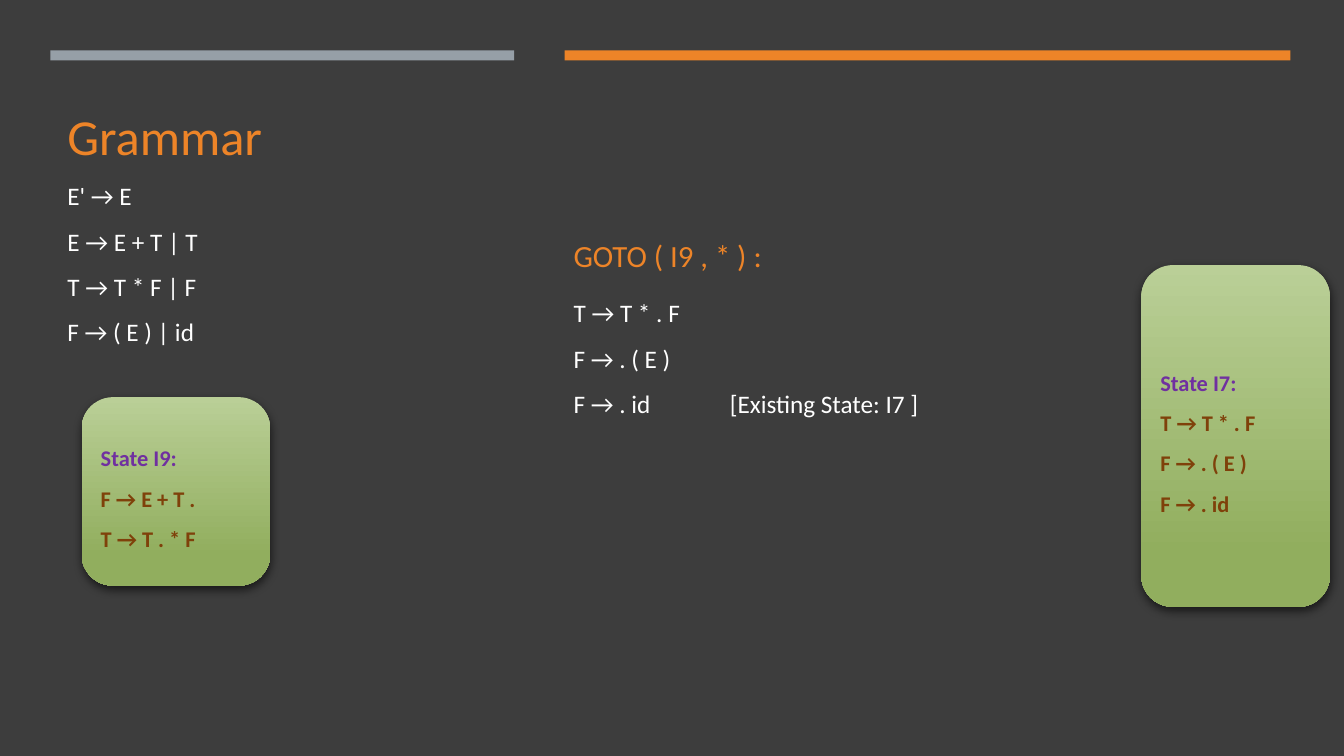
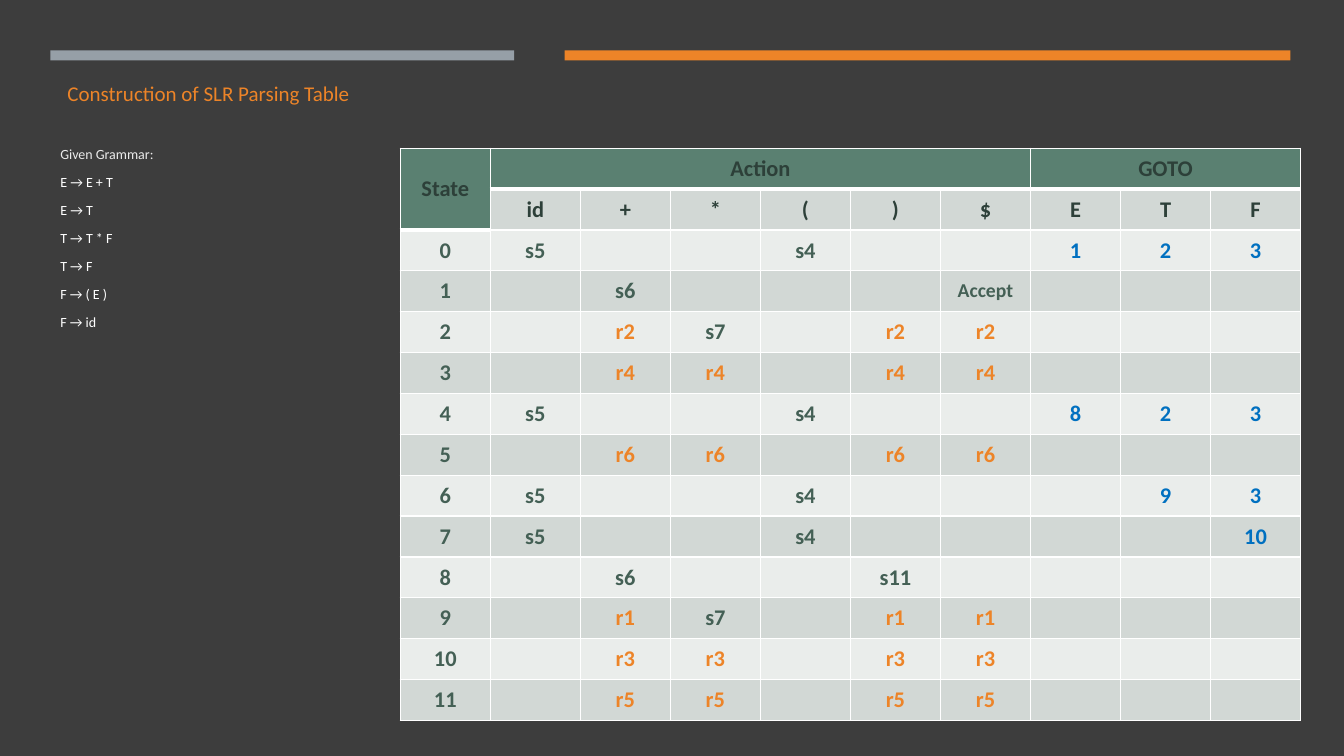
from lxml import etree
from pptx import Presentation
from pptx.dml.color import RGBColor
from pptx.enum.shapes import MSO_SHAPE
from pptx.enum.text import MSO_ANCHOR, PP_ALIGN
from pptx.oxml.ns import qn
from pptx.util import Inches, Pt

RECT = MSO_SHAPE.RECTANGLE
ROUND_RECT = MSO_SHAPE.ROUNDED_RECTANGLE
MIDDLE = MSO_ANCHOR.MIDDLE
LEFT = PP_ALIGN.LEFT
CENTER = PP_ALIGN.CENTER

FONT = "Calibri"
DARK = "3D3D3D"
WHITE = "FFFFFF"
OFF_WHITE = "EBEBEB"
ORANGE = "ED8428"
GRAY = "969FA7"
PURPLE = "7030A0"
BROWN = "7F410A"
BLUE = "0070C0"
GREEN = "446055"
DARK_GREEN = "2D4039"
HEAD_FILL = "5A8071"
BANDS = ("EAEDEB", "D2D8D5")
CARD_STOPS = ((0, "BACF97"), (0.84, "91AE5E"))

SYMBOLS = ["id", "+", "*", "(", ")", "$", "E", "T", "F"]
GOTO_COL = 7
PARSING_ROWS = [
    "s5 - - s4 - - 1 2 3",
    "- s6 - - - Accept - - -",
    "- r2 s7 - r2 r2 - - -",
    "- r4 r4 - r4 r4 - - -",
    "s5 - - s4 - - 8 2 3",
    "- r6 r6 - r6 r6 - - -",
    "s5 - - s4 - - - 9 3",
    "s5 - - s4 - - - - 10",
    "- s6 - - s11 - - - -",
    "- r1 s7 - r1 r1 - - -",
    "- r3 r3 - r3 r3 - - -",
    "- r5 r5 - r5 r5 - - -",
]


def rgb(value):
    return RGBColor.from_string(value)


def write(tf, text, size=18, color=WHITE, bold=False, align=LEFT,
          spacing=None, before=0, after=0, tab=None):
    p = tf.paragraphs[0]
    if p.runs:
        p = tf.add_paragraph()
        p.space_before = Pt(before)
    p.alignment = align
    p.space_after = Pt(after)
    if spacing:
        p.line_spacing = spacing
    if tab:
        tabs = etree.SubElement(p._p.get_or_add_pPr(), qn("a:tabLst"))
        etree.SubElement(tabs, qn("a:tab"), pos=str(Inches(tab)), algn="l")
    r = p.add_run()
    r.text = text
    r.font.name = FONT
    r.font.size = Pt(size)
    r.font.bold = bold
    r.font.color.rgb = rgb(color)


def border(cell, widths):
    tcPr = cell._tc.get_or_add_tcPr()
    for i, (tag, width) in enumerate(widths.items()):
        ln = etree.Element(qn(tag), w=str(Pt(width)))
        fill = etree.SubElement(ln, qn("a:solidFill"))
        etree.SubElement(fill, qn("a:srgbClr"), val=WHITE)
        tcPr.insert(i, ln)


def is_head(row, col):
    return row == 0 or (row, col) == (1, 0)


class Deck:
    def __init__(self):
        self.prs = Presentation()
        self.prs.slide_width = Inches(13.33)
        self.prs.slide_height = Inches(7.5)
        self.s = None

    def slide(self):
        self.s = self.prs.slides.add_slide(self.prs.slide_layouts[6])
        fill = self.s.background.fill
        fill.solid()
        fill.fore_color.rgb = rgb(DARK)
        self.band(0.5, 4.6, GRAY)
        self.band(5.6, 7.2, ORANGE)

    def shape(self, kind, x, y, w, h):
        sp = self.s.shapes.add_shape(kind, Inches(x), Inches(y), Inches(w), Inches(h))
        sp.shadow.inherit = False
        sp.line.fill.background()
        return sp

    def band(self, x, w, color):
        sp = self.shape(RECT, x, 0.5, w, 0.1)
        sp.fill.solid()
        sp.fill.fore_color.rgb = rgb(color)

    def text(self, x, y, w, h):
        sp = self.s.shapes.add_textbox(Inches(x), Inches(y), Inches(w), Inches(h))
        tf = sp.text_frame
        tf.word_wrap = True
        tf.vertical_anchor = MIDDLE
        return tf

    def title(self, text, y, w, h, size, spacing=None):
        tf = self.text(0.57, y, w, h)
        write(tf, text, size=size, color=ORANGE, spacing=spacing)
        return tf

    def state_card(self, name, items, x, y, h):
        sp = self.shape(ROUND_RECT, x, y, 1.87, h)
        sp.fill.gradient()
        sp.fill.gradient_angle = 270
        for stop, (position, color) in zip(sp.fill.gradient_stops, CARD_STOPS):
            stop.position = position
            stop.color.rgb = rgb(color)
        effects = sp._element.spPr.find(qn("a:effectLst"))
        shadow = etree.SubElement(effects, qn("a:outerShdw"), blurRad=str(Pt(7)),
                                  dist=str(Pt(3)), dir=str(84 * 60000), rotWithShape="0")
        color = etree.SubElement(shadow, qn("a:srgbClr"), val="000000")
        etree.SubElement(color, qn("a:alpha"), val="60000")
        tf = sp.text_frame
        tf.word_wrap = True
        tf.vertical_anchor = MIDDLE
        write(tf, name, size=16, color=PURPLE, bold=True, spacing=1.5)
        for item in items:
            write(tf, item, size=16, color=BROWN, bold=True, spacing=1.5)

    def cell(self, table, row, col, text):
        cell = table.cell(row, col)
        head = is_head(row, col)
        cell.fill.solid()
        cell.fill.fore_color.rgb = rgb(HEAD_FILL if head else BANDS[row % 2])
        border(cell, {"a:lnL": 1, "a:lnR": 1,
                      "a:lnT": 3 if is_head(row - 1, col) else 1,
                      "a:lnB": 3 if head else 1})
        cell.vertical_anchor = MIDDLE
        cell.margin_top = cell.margin_bottom = Inches(0.05)
        if not text:
            return
        color = GREEN
        if row < 2:
            color = DARK_GREEN
        elif col >= GOTO_COL:
            color = BLUE
        elif text.startswith("r"):
            color = ORANGE
        write(cell.text_frame, text, size=14 if text == "Accept" else 16,
              color=color, bold=True, align=CENTER)

    def parsing_table(self, x, y, w, h):
        rows = [["State", "Action"] + [""] * 5 + ["GOTO", "", ""], [""] + SYMBOLS]
        for state, line in enumerate(PARSING_ROWS):
            rows.append([str(state)] + [v.replace("-", "") for v in line.split()])
        frame = self.s.shapes.add_table(len(rows), len(rows[0]), Inches(x), Inches(y),
                                        Inches(w), Inches(h))
        table = frame.table
        table.first_row = table.horz_banding = False
        for row, values in enumerate(rows):
            for col, text in enumerate(values):
                self.cell(table, row, col, text)
        for first, last in (((0, 0), (1, 0)), ((0, 1), (0, 6)), ((0, 7), (0, 9))):
            table.cell(*first).merge(table.cell(*last))


def goto_slide(deck):
    deck.slide()
    tf = deck.title("Grammar", 0.6, 4.44, 2.98, size=36, spacing=1.5)
    for rule in ("E' → E", "E → E + T | T", "T → T * F | F", "F → ( E ) | id"):
        write(tf, rule, spacing=1.5)
    deck.state_card("State I9:", ["F → E + T .", "T → T . * F"], 0.81, 3.94, 1.87)
    items = ["T → T * . F", "F → . ( E )", "F → . id"]
    tf = deck.text(5.59, 1.65, 5.49, 3.02)
    write(tf, "GOTO ( I9 , * ) :", size=22, color=ORANGE, spacing=1.5, after=6)
    for item in items[:-1]:
        write(tf, item, spacing=1.5)
    write(tf, items[-1] + "\t[Existing State: I7 ]", spacing=1.5, tab=1.55)
    deck.state_card("State I7:", items, 11.32, 2.63, 3.39)


def table_slide(deck):
    deck.slide()
    deck.title("Construction of SLR Parsing Table", 0.69, 3.51, 0.47, size=15)
    deck.parsing_table(3.97, 1.47, 8.93, 5.68)
    tf = deck.text(0.5, 1.31, 2.06, 2.1)
    write(tf, "Given Grammar:", size=10, color=OFF_WHITE, after=6)
    for rule in ("E → E + T", "E → T", "T → T * F", "T → F", "F → ( E )", "F → id"):
        write(tf, rule, size=10, before=2, after=6)


def main():
    deck = Deck()
    goto_slide(deck)
    table_slide(deck)
    deck.prs.save("out.pptx")


if __name__ == "__main__":
    main()
